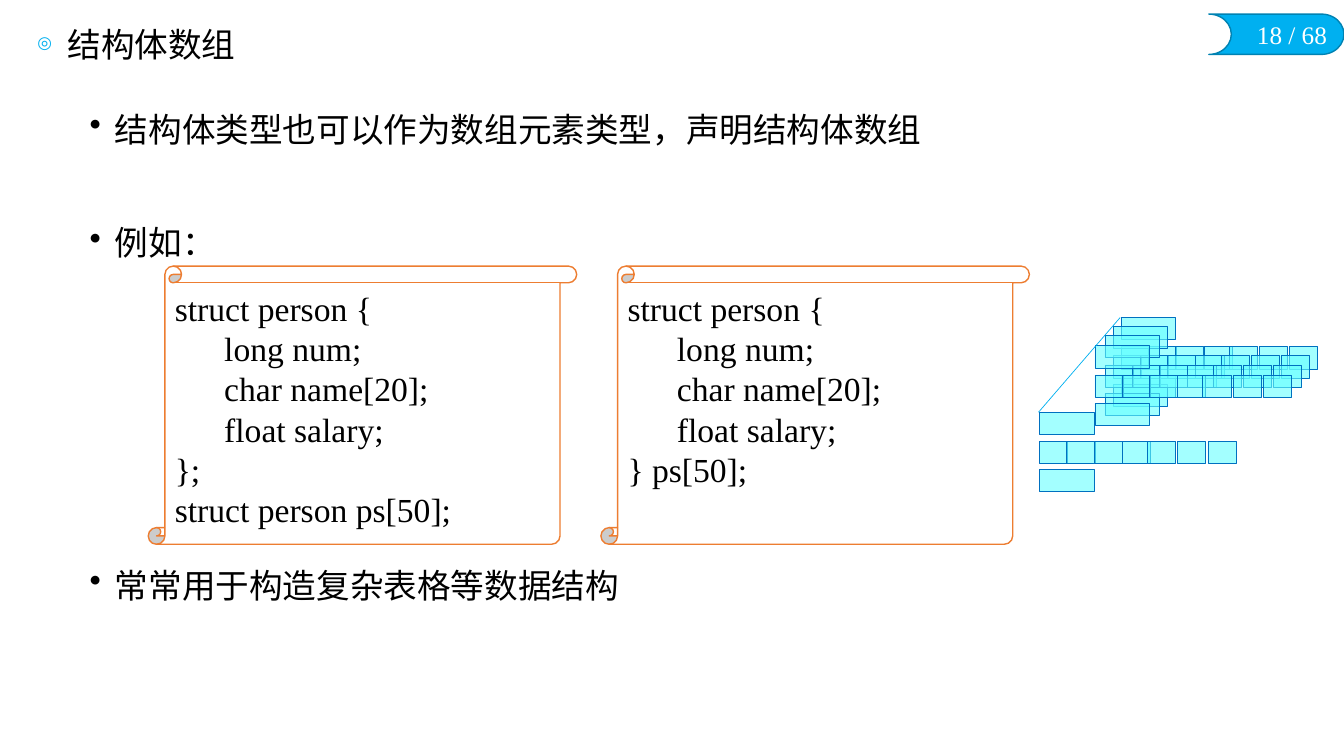
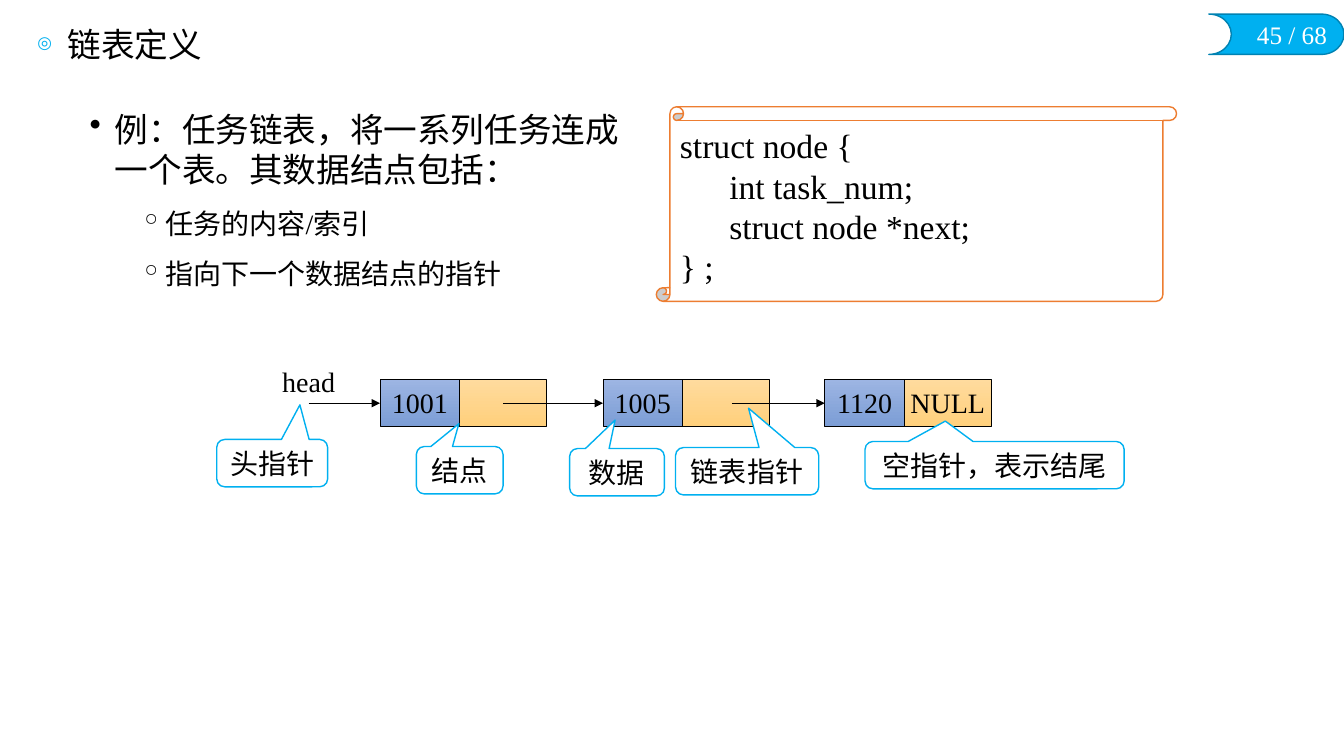
"""Build two lecture slides on struct arrays and linked lists."""
import pptx
import pptx.dml.color
import pptx.enum.shapes
import pptx.enum.text
import pptx.oxml
import pptx.util
from lxml import etree

Inches = pptx.util.Inches
Pt = pptx.util.Pt
RGBColor = pptx.dml.color.RGBColor
SHAPE = pptx.enum.shapes.MSO_SHAPE
STRAIGHT = pptx.enum.shapes.MSO_CONNECTOR.STRAIGHT
ALIGN = pptx.enum.text.PP_ALIGN
ANCHOR = pptx.enum.text.MSO_ANCHOR

FONT = "Times New Roman"
BLACK = RGBColor(0x00, 0x00, 0x00)
WHITE = RGBColor(0xFF, 0xFF, 0xFF)
SKY = RGBColor(0x00, 0xB0, 0xF0)
SKY_EDGE = RGBColor(0x00, 0x82, 0xB2)
ORANGE = RGBColor(0xED, 0x7D, 0x31)
CYAN = RGBColor(0x66, 0xFF, 0xFF)
CELL_EDGE = RGBColor(0x00, 0x70, 0xC0)
DATA_SHADES = RGBColor(0x9D, 0xB5, 0xE3), RGBColor(0x7C, 0x9D, 0xD5)
LINK_SHADES = RGBColor(0xFF, 0xDB, 0x9E), RGBColor(0xFF, 0xD0, 0x7C)

A = "http://schemas.openxmlformats.org/drawingml/2006/main"
TITLE_MARKS = (
    f'<a:buClr xmlns:a="{A}"><a:srgbClr val="{SKY}"/></a:buClr>',
    f'<a:buSzPct xmlns:a="{A}" val="50000"/>',
    f'<a:buChar xmlns:a="{A}" char="◎"/>',
)
BULLET_MARKS = (f'<a:buChar xmlns:a="{A}" char="•"/>',)
SUB_MARKS = (f'<a:buChar xmlns:a="{A}" char="◦"/>',)
CODE_MARKS = (
    f'<a:tabLst xmlns:a="{A}"><a:tab pos="{Inches(0.49)}" algn="l"/></a:tabLst>',
)

TITLE_FORMAT = {"alignment": ALIGN.LEFT, "line_spacing": 0.9}
CENTRED = {"alignment": ALIGN.CENTER}
CODE_FORMAT = {"alignment": ALIGN.LEFT}
CELL_FRAME = {"margin_left": Inches(0.04), "margin_right": Inches(0.04),
              "vertical_anchor": ANCHOR.MIDDLE, "word_wrap": True}


def write(frame, lines, size, formats, color=BLACK, marks=(), indent=None):
    """Fill a text frame with equally formatted paragraphs, after any text it has."""
    for line in lines:
        paragraph = frame.paragraphs[0] if not frame.text else frame.add_paragraph()
        paragraph.text = line
        properties = paragraph._p.get_or_add_pPr()
        if indent:
            properties.set("marL", str(Inches(indent[0])))
            properties.set("indent", str(Inches(indent[1])))
        for mark in marks:
            properties.append(pptx.oxml.parse_xml(mark))
        for key, value in formats.items():
            setattr(paragraph, key, value)
        for run in paragraph.runs:
            for key, value in {"name": FONT, "size": Pt(size), "bold": False}.items():
                setattr(run.font, key, value)
            run.font.color.rgb = color


def draw(slide, kind, box, fill, edge, weight):
    """Add a shape with a plain fill, or a vertical gradient for two colours."""
    shape = slide.shapes.add_shape(kind, *map(Inches, box))
    shape.shadow.inherit = False
    if isinstance(fill, RGBColor):
        shape.fill.solid()
        shape.fill.fore_color.rgb = fill
    else:
        shape.fill.gradient()
        shape.fill.gradient_angle = 270
        for stop, shade in zip(shape.fill.gradient_stops, fill):
            stop.color.rgb = shade
    shape.line.color.rgb = edge
    shape.line.width = Pt(weight)
    return shape


PAGES = [
    {
        "title": "结构体数组",
        "page": "18 / 68",
        "points": [
            ("结构体类型也可以作为数组元素类型，声明结构体数组", 0, 0),
            ("例如：", 0, 46),
            ("常常用于构造复杂表格等数据结构", 0, 210),
        ],
        "scrolls": [
            ((5.96, 2.64, 4.25, 2.76), 0.06,
             ["struct person {", "\tlong num;", "\tchar name[20];",
              "\tfloat salary;", "} ps[50];"]),
            ((1.47, 2.64, 4.25, 2.76), 0.06,
             ["struct person {", "\tlong num;", "\tchar name[20];",
              "\tfloat salary;", "};", "struct person ps[50];"]),
        ],
    },
    {
        "title": "链表定义",
        "page": "45 / 68",
        "points": [
            ("例：任务链表，将一系列任务连成\v一个表。其数据结点包括：", 0, 0),
            ("任务的内容/索引", 1, 6),
            ("指向下一个数据结点的指针", 1, 6),
        ],
        "scrolls": [
            ((6.51, 1.06, 5.16, 1.93), 0.07,
             ["struct node {", "\tint task_num;", "\tstruct node *next;", "} ;"]),
        ],
    },
]
POINT_STYLES = [(24, BULLET_MARKS, (0.25, -0.25)), (20, SUB_MARKS, (0.75, -0.25))]

deck = pptx.Presentation()
deck.slide_width = Inches(13.33)
deck.slide_height = Inches(7.5)

for page in PAGES:
    slide = deck.slides.add_slide(deck.slide_layouts[5])

    badge = draw(slide, SHAPE.FLOWCHART_STORED_DATA, (11.99, 0.14, 1.34, 0.4),
                 SKY, SKY_EDGE, 1)
    badge.element.spPr.xfrm.set("flipH", "1")
    page_number = slide.shapes.add_textbox(
        Inches(12.31), Inches(0.14), Inches(0.95), Inches(0.4))
    page_number.text_frame.word_wrap = False
    write(page_number.text_frame, [page["page"]], 18,
          {"alignment": ALIGN.RIGHT}, WHITE)

    title = slide.shapes.title
    for key, value in {"left": 0.27, "top": 0.23, "width": 6.37, "height": 0.46}.items():
        setattr(title, key, Inches(value))
    title.text_frame.auto_size = pptx.enum.text.MSO_AUTO_SIZE.NONE
    title.text_frame.vertical_anchor = ANCHOR.MIDDLE
    write(title.text_frame, [page["title"]], 24, TITLE_FORMAT,
          marks=TITLE_MARKS, indent=(0.3, -0.3))

    points = slide.shapes.add_textbox(
        Inches(0.79), Inches(1.03), Inches(11.71), Inches(6.07)).text_frame
    points.word_wrap = True
    for text, level, gap in page["points"]:
        size, marks, indent = POINT_STYLES[level]
        spacing = {"level": level, "space_before": Pt(gap), "space_after": Pt(6)}
        write(points, [text], size, spacing, marks=marks, indent=indent)

    for box, curl, code in page["scrolls"]:
        scroll = draw(slide, SHAPE.VERTICAL_SCROLL, box, WHITE, ORANGE, 1)
        scroll.adjustments[0] = curl
        scroll.text_frame.vertical_anchor = ANCHOR.TOP
        write(scroll.text_frame, code, 24, CODE_FORMAT, marks=CODE_MARKS)

array_slide, list_slide = deck.slides

RECORDS = [(11.12, 3.15), (11.04, 3.24), (10.96, 3.33), (10.86, 3.43), (10.31, 4.09)]
FIELDS = [(0, 0, 0.54), (0, 0.57, 0.54)]
FIELDS += [(x, 0.29, 0.28) for x in (0, 0.27, 0.54, 0.82, 1.07, 1.37, 1.67)]
for left, top in RECORDS:
    for across, down, width in FIELDS:
        field = draw(array_slide, SHAPE.RECTANGLE,
                     (left + across, top + down, width, 0.22), CYAN, CELL_EDGE, 0.5)
        tint = field.element.spPr.find(f"{{{A}}}solidFill")[0]
        etree.SubElement(tint, f"{{{A}}}alpha", val="60000")

NODE_TOP, NODE_HEIGHT = 3.76, 0.47
NODES = [(3.77, "1001", ""), (5.98, "1005", ""), (8.18, "1120", "NULL")]
for left, number, link in NODES:
    for x, width, shades, text in [(left, 0.79, DATA_SHADES, number),
                                   (left + 0.79, 0.86, LINK_SHADES, link)]:
        cell = draw(list_slide, SHAPE.RECTANGLE, (x, NODE_TOP, width, NODE_HEIGHT),
                    shades, BLACK, 0.5)
        for key, value in CELL_FRAME.items():
            setattr(cell.text_frame, key, value)
        if text:
            write(cell.text_frame, [text], 20, CENTRED)

LINES = [
    (array_slide, (11.11, 3.15, 10.3, 4.09), SKY, 0.5, False),
    (list_slide, (4.99, 4, 5.98, 4), BLACK, 0.75, True),
    (list_slide, (7.26, 4, 8.18, 4), BLACK, 0.75, True),
    (list_slide, (3.06, 4, 3.77, 4), BLACK, 0.75, True),
]
for slide, ends, color, weight, pointed in LINES:
    link = slide.shapes.add_connector(STRAIGHT, *map(Inches, ends))
    link.line.color.rgb = color
    link.line.width = Pt(weight)
    if pointed:
        etree.SubElement(link.line._get_or_add_ln(), f"{{{A}}}tailEnd", type="triangle")
    etree.SubElement(link.element.spPr, f"{{{A}}}effectLst")

head = list_slide.shapes.add_textbox(
    Inches(2.7), Inches(3.57), Inches(0.73), Inches(0.44))
head.text_frame.word_wrap = False
write(head.text_frame, ["head"], 20, {"alignment": ALIGN.LEFT})

CALLOUTS = [
    ("头指针", 2.15, 4.36, 1.1, (0.25, -1.23)),
    ("链表指针", 6.7, 4.44, 1.42, (0.01, -1.33)),
    ("数据", 5.65, 4.45, 0.94, (-0.02, -1.1)),
    ("空指针，表示结尾", 8.58, 4.38, 2.57, (-0.19, -0.93)),
    ("结点", 4.13, 4.43, 0.86, (-0.01, -0.98)),
]
for text, left, top, width, tip in CALLOUTS:
    callout = draw(list_slide, SHAPE.ROUNDED_RECTANGULAR_CALLOUT,
                   (left, top, width, 0.47), WHITE, SKY, 1)
    callout.adjustments[0], callout.adjustments[1] = tip
    callout.text_frame.vertical_anchor = ANCHOR.MIDDLE
    write(callout.text_frame, [text], 20, CENTRED)

deck.save("out.pptx")
